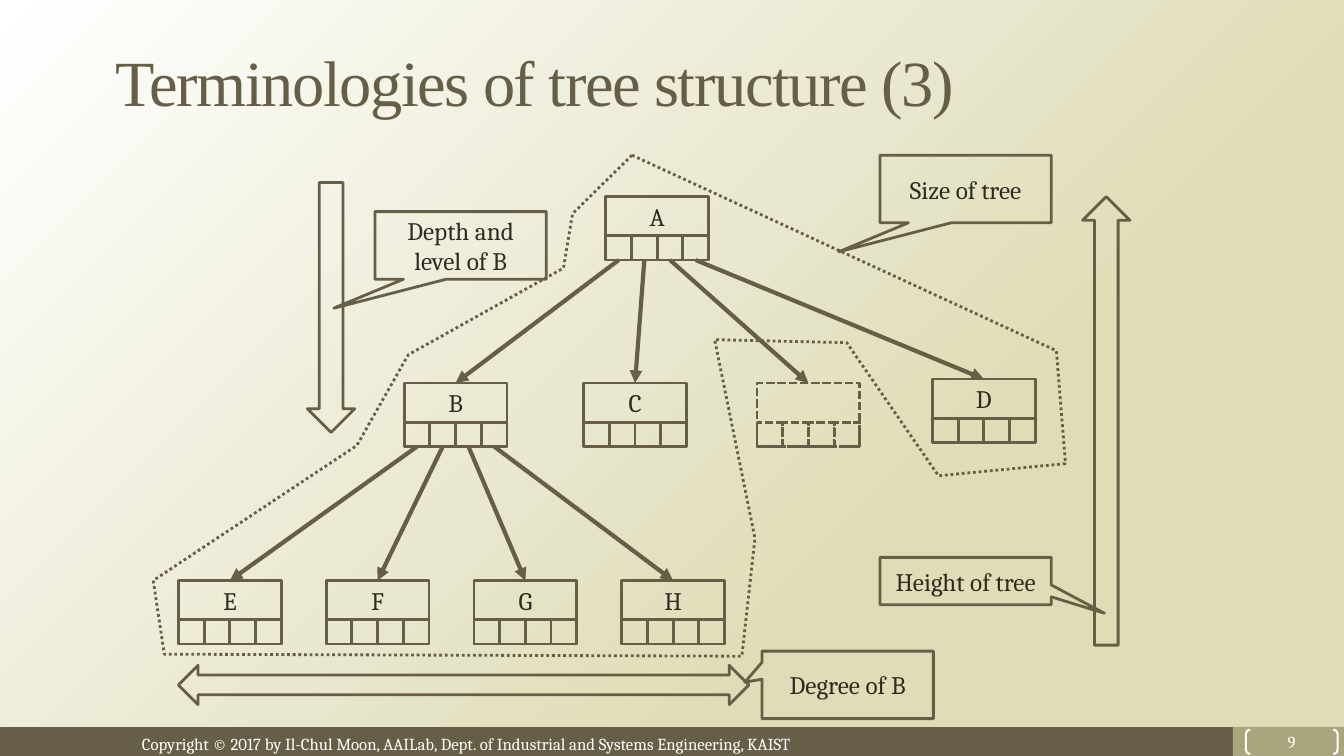
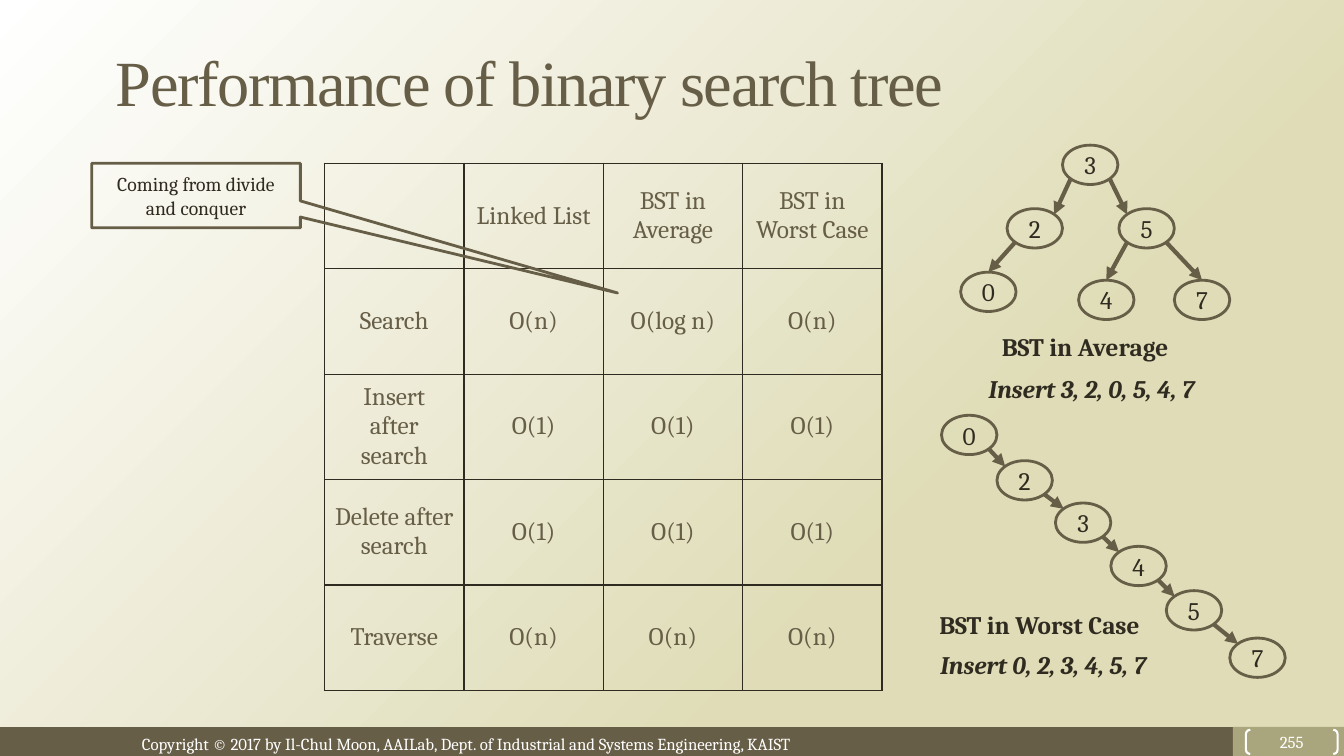
"""Build two lecture slides on tree structures and binary search trees."""
from lxml import etree
from pptx import Presentation
from pptx.dml.color import RGBColor
from pptx.enum.dml import MSO_LINE
from pptx.enum.shapes import MSO_CONNECTOR, MSO_SHAPE
from pptx.enum.text import MSO_ANCHOR, MSO_AUTO_SIZE, PP_ALIGN
from pptx.oxml.ns import qn
from pptx.util import Inches, Pt

LEFT, CENTER = PP_ALIGN.LEFT, PP_ALIGN.CENTER
TOP, MIDDLE = MSO_ANCHOR.TOP, MSO_ANCHOR.MIDDLE
NO_AUTOFIT = MSO_AUTO_SIZE.NONE
DOTTED, DASHED = MSO_LINE.ROUND_DOT, MSO_LINE.SQUARE_DOT
RECTANGLE, ELLIPSE = MSO_SHAPE.RECTANGLE, MSO_SHAPE.OVAL
CALLOUT, BRACKETS = MSO_SHAPE.RECTANGULAR_CALLOUT, MSO_SHAPE.DOUBLE_BRACKET
UP_ARROW, DOWN_ARROW = MSO_SHAPE.UP_ARROW, MSO_SHAPE.DOWN_ARROW
WIDE_ARROW = MSO_SHAPE.LEFT_RIGHT_ARROW
STRAIGHT = MSO_CONNECTOR.STRAIGHT

BROWN, OLIVE, INK = "675E47", "A9A57C", "2F2B20"
WHITE, SAND = "FFFFFF", "DFDCB7"
BODY_FONT, TITLE_FONT = "Cambria", "Times New Roman"
COLUMNS, ROWS = 133.33, 75
NODE_WIDTH, NODE_HEIGHT, SLOT_HEIGHT, SLOTS = 10.2, 6.3, 2.4, 4
OVAL_WIDTH, OVAL_HEIGHT = 5.5, 3.9
TOP_POINT, TOP_LEFT, TOP_RIGHT = (0.5, 0), (0.15, 0.15), (0.85, 0.15)
BOTTOM_LEFT, BOTTOM_RIGHT = (0.15, 0.85), (0.85, 0.85)
COPYRIGHT = ("Copyright © 2017 by Il-Chul Moon, AAILab, Dept. of Industrial "
             "and Systems Engineering, KAIST")


def grid(*cells):
    """Turn grid cells of a tenth of an inch into lengths."""
    return [Inches(cell / 10) for cell in cells]


def color(value):
    """Turn a hex string into a colour."""
    return RGBColor.from_string(value)


def write(frame, text, size=18, ink=INK, font=BODY_FONT, bold=False,
          italic=False, align=CENTER, anchor=MIDDLE, spacing=None):
    """Fill a text frame, one paragraph per line of text."""
    frame.word_wrap = True
    frame.vertical_anchor = anchor
    for index, line in enumerate(text.split("\n")):
        paragraph = frame.add_paragraph() if index else frame.paragraphs[0]
        paragraph.alignment = align
        run = paragraph.add_run()
        run.text = line
        run.font.name, run.font.size = font, Pt(size)
        run.font.bold, run.font.italic = bold, italic
        run.font.color.rgb = color(ink)
        if spacing is not None:
            run._r.get_or_add_rPr().set("spc", str(spacing))


class Deck:
    """Hold the style and the current slide."""

    def __init__(self):
        """Set the slide size and the shared background."""
        self.presentation = Presentation()
        self.presentation.slide_width, self.presentation.slide_height = grid(COLUMNS, ROWS)
        fill = self.presentation.slide_master.background.fill
        fill.gradient()
        fill.gradient_angle = 315
        for stop, shade, position in zip(fill.gradient_stops, (WHITE, SAND), (0, 0.69)):
            stop.color.rgb = color(shade)
            stop.position = position

    def add_slide(self, title, number):
        """Start a slide with its title, bands and page number."""
        self.slide = self.presentation.slides.add_slide(self.presentation.slide_layouts[5])
        self.shapes = self.slide.shapes
        heading = self.shapes.title
        heading.left, heading.top, heading.width, heading.height = grid(10.5, 2.75, 113.2, 10.6)
        heading.text_frame.auto_size = NO_AUTOFIT
        write(heading.text_frame, title, size=46, ink=BROWN, font=TITLE_FONT,
              align=LEFT, spacing=-100)
        self.shape(RECTANGLE, (0, 72.15, COLUMNS, 2.85), fill=BROWN, line=None)
        self.shape(RECTANGLE, (122.3, 72.1, 11.03, 2.9), fill=OLIVE, line=None)
        self.label(COPYRIGHT, (13.1, 72.3, 70.1, 2.7), size=12, ink=WHITE)
        self.shape(BRACKETS, (123.6, 72.4, 9.1, 2.4), str(number), line=WHITE, weight=1.5,
                   adjust=[0.18], insets=(0, 0, 0, 0), size=12, ink=WHITE)

    def outline(self, shape, line=BROWN, weight=2, dash=None):
        """Give a shape its outline and remove its shadow."""
        shape.shadow.inherit = False
        if line is None:
            shape.line.fill.background()
            return
        shape.line.color.rgb = color(line)
        shape.line.width = Pt(weight)
        if dash is not None:
            shape.line.dash_style = dash

    def shape(self, kind, box, text="", fill=None, line=BROWN, weight=2, dash=None,
              adjust=(), insets=None, **style):
        """Add a preset shape with optional text."""
        shape = self.shapes.add_shape(kind, *grid(*box))
        self.outline(shape, line, weight, dash)
        if fill is None:
            shape.fill.background()
        else:
            shape.fill.solid()
            shape.fill.fore_color.rgb = color(fill)
        for index, value in enumerate(adjust):
            shape.adjustments[index] = value
        if text:
            frame = shape.text_frame
            if insets is not None:
                (frame.margin_left, frame.margin_top,
                 frame.margin_right, frame.margin_bottom) = grid(*insets)
            write(frame, text, **style)

    def label(self, text, box, **style):
        """Add a plain text box."""
        frame = self.shapes.add_textbox(*grid(*box)).text_frame
        write(frame, text, align=LEFT, anchor=TOP, **style)

    def callout(self, text, box, pointer, **style):
        """Add a callout whose tip lies at the pointer."""
        self.shape(CALLOUT, box, text, adjust=pointer, **style)

    def arrow(self, start, end):
        """Add a straight line that ends in an arrowhead."""
        connector = self.shapes.add_connector(STRAIGHT, *grid(*start, *end))
        connector.line.color.rgb = color(BROWN)
        connector.line.width = Pt(3)
        etree.SubElement(connector.line._get_or_add_ln(), qn("a:tailEnd"), type="triangle")
        etree.SubElement(connector._element.spPr, qn("a:effectLst"))

    def region(self, points):
        """Add a closed dotted outline."""
        start, *others = [grid(*point) for point in points]
        builder = self.shapes.build_freeform(*start, scale=1.0)
        builder.add_line_segments(others, close=True)
        shape = builder.convert_to_shape()
        shape.fill.background()
        self.outline(shape, dash=DOTTED)

    def node(self, left, top, name, dash=None):
        """Add a tree node with its row of child slots."""
        self.shape(RECTANGLE, (left, top, NODE_WIDTH, NODE_HEIGHT), name, dash=dash,
                   insets=(0, 0, 0, SLOT_HEIGHT))
        width = NODE_WIDTH / SLOTS
        for index in range(SLOTS):
            self.shape(RECTANGLE, (left + index * width, top + NODE_HEIGHT - SLOT_HEIGHT,
                                   width, SLOT_HEIGHT), dash=dash)

    def branches(self, parent, children):
        """Point each slot of a parent node at one child."""
        left, top = parent
        for index, (child_left, child_top) in enumerate(children):
            self.arrow((left + (index + 0.5) * NODE_WIDTH / SLOTS, top + NODE_HEIGHT),
                       (child_left + NODE_WIDTH / 2, child_top))

    def search_tree(self, places, edges):
        """Add oval nodes and the arrows between points on their rims."""
        for name, place in places.items():
            self.shape(ELLIPSE, (*place, OVAL_WIDTH, OVAL_HEIGHT), name, insets=(0, 0, 0, 0))

        def rim(name, share):
            """Find a point at a share of an oval's box."""
            left, top = places[name]
            return left + share[0] * OVAL_WIDTH, top + share[1] * OVAL_HEIGHT

        for parent, child, start, end in edges:
            self.arrow(rim(parent, start), rim(child, end))

    def table(self, box, rows):
        """Add a bordered table without fills."""
        frame = self.shapes.add_table(len(rows), len(rows[0]), *grid(*box))
        table = frame.table
        table.first_row = table.horz_banding = False
        for row_index, row in enumerate(rows):
            for column_index, text in enumerate(row):
                cell = table.cell(row_index, column_index)
                cell.vertical_anchor = MIDDLE
                self.borders(cell)
                cell.fill.background()
                if text:
                    write(cell.text_frame, text, ink=BROWN)

    def borders(self, cell):
        """Draw the four borders of a table cell."""
        properties = cell._tc.get_or_add_tcPr()
        for side in ("lnL", "lnR", "lnT", "lnB"):
            line = etree.SubElement(properties, qn("a:" + side), w=str(Pt(1)))
            fill = etree.SubElement(line, qn("a:solidFill"))
            etree.SubElement(fill, qn("a:srgbClr"), val=INK)


def terminology_slide(deck):
    """Build the slide on tree terms."""
    deck.add_slide("Terminologies of tree structure (3)", 9)
    deck.shape(UP_ARROW, (107.4, 19.5, 4.7, 44.5))
    deck.shape(DOWN_ARROW, (30.5, 18.1, 4.7, 24.8))
    deck.shape(WIDE_ARROW, (17.7, 66, 56.6, 3.9))
    deck.callout("Height of tree", (87.3, 55.3, 17, 4.7), (0.81, 0.68))
    deck.callout("Depth and level of B", (37.2, 21, 17, 6.7), (-0.74, 0.93))
    deck.callout("Degree of B", (75.6, 64.6, 17, 6.7), (-0.6, -0.04))
    deck.callout("Size of tree", (87.3, 15.4, 17, 6.7), (-0.74, 0.93))
    deck.region([(62.7, 15.4), (56.8, 21.2), (55.9, 26.6), (40.5, 35.2), (35.4, 44.2),
                 (15.2, 57.6), (16.3, 64.9), (73.6, 65.1), (74.9, 53.4), (70.9, 33.7),
                 (84, 34), (93.1, 47.2), (105.7, 46), (104.8, 34.8)])
    root, empty = (60.1, 19.5), (75.1, 38)
    middle = {"B": (40.1, 38), "C": (57.9, 38), "D": (92.5, 37.6)}
    leaves = {name: (17.7 + 14.66 * index, 57.6) for index, name in enumerate("EFGH")}
    for name, place in {"A": root, **middle, **leaves}.items():
        deck.node(*place, name)
    deck.node(*empty, "", dash=DASHED)
    deck.branches(root, [middle["B"], middle["C"], empty, middle["D"]])
    deck.branches(middle["B"], leaves.values())


def performance_slide(deck):
    """Build the slide on search tree performance."""
    deck.add_slide("Performance of binary search tree", 255)
    deck.table((32.2, 16.2, 55.3, 52.3), [
        ("", "Linked List", "BST in Average", "BST in Worst Case"),
        ("Search", "O(n)", "O(log n)", "O(n)"),
        ("Insert\nafter search", "O(1)", "O(1)", "O(1)"),
        ("Delete after search", "O(1)", "O(1)", "O(1)"),
        ("Traverse", "O(n)", "O(n)", "O(n)"),
    ])
    deck.search_tree(
        {"3": (105.4, 14.4), "2": (99.9, 20.7), "0": (95.3, 27),
         "5": (111, 20.7), "7": (116.5, 27.8), "4": (107, 27.8)},
        [("3", "2", BOTTOM_LEFT, TOP_RIGHT), ("3", "5", BOTTOM_RIGHT, TOP_LEFT),
         ("5", "7", BOTTOM_RIGHT, TOP_POINT), ("5", "4", BOTTOM_LEFT, TOP_POINT),
         ("2", "0", BOTTOM_LEFT, TOP_POINT)])
    chain = {"0": (93.4, 41.2), "2": (98.9, 45.7), "3": (104.7, 49.9),
             "4": (110.2, 54.2), "5": (115.7, 58.6), "7": (122, 63.3)}
    names = list(chain)
    deck.search_tree(chain, [(parent, child, BOTTOM_RIGHT, TOP_LEFT)
                             for parent, child in zip(names, names[1:])])
    for text, left, top, italic in [
            ("BST in Average", 98.4, 32.4, False),
            ("Insert 3, 2, 0, 5, 4, 7", 97.1, 36.5, True),
            ("BST in Worst Case", 92.2, 60, False),
            ("Insert 0, 2, 3, 4, 5, 7", 92.3, 63.9, True)]:
        deck.label(text, (left, top, 24, 4), bold=True, italic=italic)
    deck.callout("Coming from divide and conquer", (9.1, 16.2, 20.7, 6.4), (2.02, 1.51), size=14)


def main():
    """Build and save the presentation."""
    deck = Deck()
    terminology_slide(deck)
    performance_slide(deck)
    deck.presentation.save("out.pptx")


if __name__ == "__main__":
    main()
